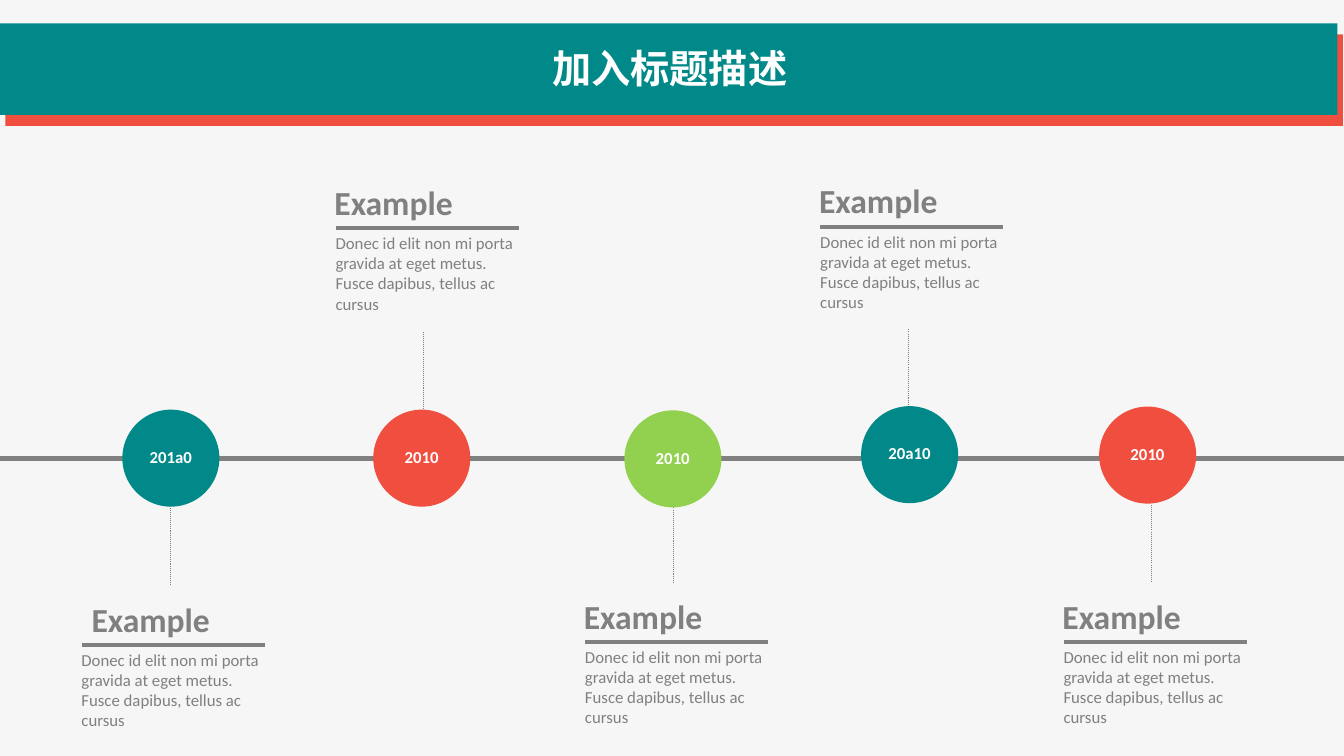
"""Build a five-stop timeline slide under a title banner."""
from typing import Any, NamedTuple

from lxml.etree import SubElement
from pptx import Presentation
from pptx.dml.color import RGBColor
from pptx.enum.dml import MSO_LINE
from pptx.enum.shapes import MSO_CONNECTOR, MSO_SHAPE
from pptx.enum.text import MSO_ANCHOR, MSO_AUTO_SIZE, PP_ALIGN
from pptx.oxml.ns import qn
from pptx.util import Pt

TEAL, RED, GREEN = "018989", "F04E3F", "92D050"
GRAY, WHITE, PAPER = "808080", "FFFFFF", "F6F6F6"
LATIN, CHINESE = "Calibri", "Noto Sans CJK SC"
BODY = "Donec id elit non mi porta gravida at eget metus. Fusce dapibus, tellus ac cursus"
PAGE_WIDTH, PAGE_HEIGHT = 960, 540
AXIS_Y = 327.6
DISC_SIZE = 65.5
RULE_LENGTH = 130.7
STEM_LENGTH = 55


class Area(NamedTuple):
    left: float
    top: float
    width: float
    height: float


class Style(NamedTuple):
    size: float
    color: str
    bold: bool = False
    align: PP_ALIGN = PP_ALIGN.LEFT
    font: str = LATIN


class Stop(NamedTuple):
    year: str
    color: str
    disc_left: float
    disc_top: float
    rule_left: float
    rule_top: float
    stem_left: float
    stem_top: float
    heading_indent: float = -8


TITLE_STYLE = Style(28, WHITE, True, PP_ALIGN.CENTER, CHINESE)
YEAR_STYLE = Style(12, WHITE, True, PP_ALIGN.CENTER)
HEADING_STYLE = Style(24, GRAY, True)
BODY_STYLE = Style(12, GRAY)

STOPS = [
    Stop("201a0", TEAL, 89.3, 294.5, 58.3, 460.8, 121.6, 362.7, 0),
    Stop("2010", RED, 268.5, 294.5, 239.8, 163.1, 302.4, 237),
    Stop("2010", GREEN, 447.9, 295, 418, 458.6, 481, 361),
    Stop("20a10", TEAL, 617, 292, 586, 162, 648.8, 235.3),
    Stop("2010", RED, 787, 292.3, 759.8, 458.6, 822.2, 360.5),
]


def rgb(color: str) -> RGBColor:
    return RGBColor.from_string(color)


def apply(target: Any, values: dict[str, Any]) -> None:
    for name, value in values.items():
        setattr(target, name, value)


def write(box: Any, text: str, style: Style, inset_x: float = 7.2, inset_y: float = 3.6) -> None:
    frame = box.text_frame
    apply(frame, {
        "word_wrap": True,
        "auto_size": MSO_AUTO_SIZE.SHAPE_TO_FIT_TEXT,
        "vertical_anchor": MSO_ANCHOR.TOP,
        "margin_left": Pt(inset_x),
        "margin_right": Pt(inset_x),
        "margin_top": Pt(inset_y),
        "margin_bottom": Pt(inset_y),
    })
    para = frame.paragraphs[0]
    para.alignment = style.align
    span = para.add_run()
    span.text = text
    apply(span.font, {"size": Pt(style.size), "bold": style.bold, "name": style.font})
    span.font.color.rgb = rgb(style.color)
    if style.font == CHINESE:
        SubElement(span.font._element, qn("a:ea"), typeface=style.font)


def add_text(page: Any, area: Area, text: str, style: Style) -> None:
    write(page.shapes.add_textbox(*map(Pt, area)), text, style)


def add_block(page: Any, kind: MSO_SHAPE, area: Area, color: str, outline: float = 0) -> None:
    block = page.shapes.add_shape(kind, *map(Pt, area))
    block.shadow.inherit = False
    block.fill.solid()
    block.fill.fore_color.rgb = rgb(color)
    if outline:
        block.line.color.rgb = rgb(color)
        block.line.width = Pt(outline)
    else:
        block.line.fill.background()


def add_line(page: Any, left: float, top: float, across: float, down: float,
             weight: float, dash: MSO_LINE | None = None) -> None:
    line = page.shapes.add_connector(
        MSO_CONNECTOR.STRAIGHT, Pt(left), Pt(top), Pt(left + across), Pt(top + down))
    line.line.color.rgb = rgb(GRAY)
    apply(line.line, {"width": Pt(weight), "dash_style": dash})
    SubElement(line._element.spPr, qn("a:effectLst"))


def add_banner(page: Any) -> None:
    add_block(page, MSO_SHAPE.RECTANGLE, Area(3.9, 24.5, 955.4, 65.5), RED)
    add_block(page, MSO_SHAPE.RECTANGLE, Area(0, 16.6, 955.4, 65.5), TEAL)
    title = page.shapes.title
    title._element.getparent().append(title._element)
    area = Area(-54, 28.8, 1064.9, 46)
    apply(title, dict(zip(Area._fields, map(Pt, area))))
    write(title, "加入标题描述", TITLE_STYLE, 5, 2.9)


def add_stop(page: Any, stop: Stop) -> None:
    add_line(page, stop.stem_left, stop.stem_top, 0, STEM_LENGTH, 0.75, MSO_LINE.ROUND_DOT)
    disc = Area(stop.disc_left, stop.disc_top, DISC_SIZE, DISC_SIZE)
    add_block(page, MSO_SHAPE.OVAL, disc, stop.color, 3.8)
    add_text(page, Area(disc.left + 8.8, disc.top + 21, 47.8, 21.8), stop.year, YEAR_STYLE)
    heading = Area(stop.rule_left + stop.heading_indent, stop.rule_top - 36.7, 117.4, 36.3)
    add_text(page, heading, "Example", HEADING_STYLE)
    add_line(page, stop.rule_left, stop.rule_top, RULE_LENGTH, 0, 3)
    add_text(page, Area(stop.rule_left - 7.2, stop.rule_top - 0.3, 146.2, 65.5), BODY, BODY_STYLE)


def main() -> None:
    deck = Presentation()
    apply(deck, {"slide_width": Pt(PAGE_WIDTH), "slide_height": Pt(PAGE_HEIGHT)})
    page = deck.slides.add_slide(deck.slide_layouts[5])
    page.background.fill.solid()
    page.background.fill.fore_color.rgb = rgb(PAPER)
    add_banner(page)
    add_line(page, 0, AXIS_Y, PAGE_WIDTH, 0, 3.5)
    for stop in STOPS:
        add_stop(page, stop)
    deck.save("out.pptx")


if __name__ == "__main__":
    main()
